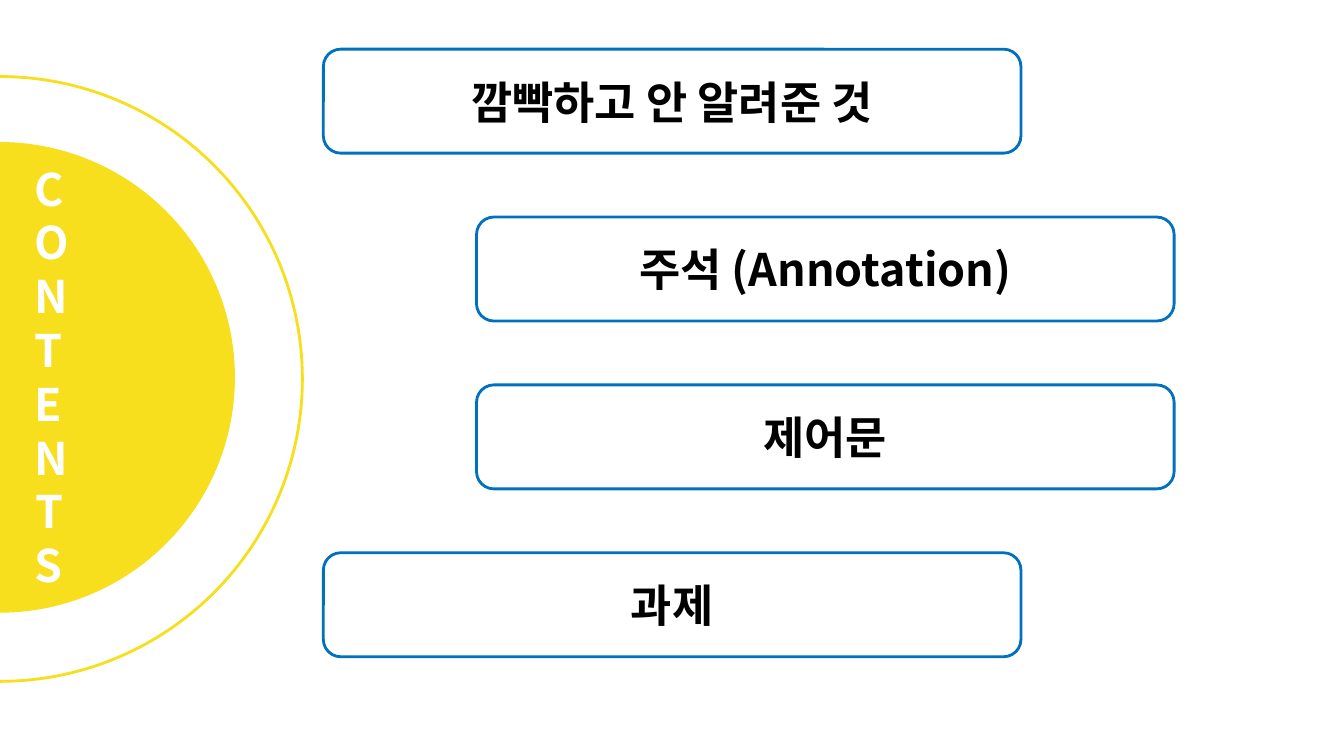
from typing import NamedTuple

import pptx
import pptx.dml.color
import pptx.enum.shapes
import pptx.enum.text
import pptx.util
from pptx.util import Cm

FONT = "Noto Sans CJK KR"
YELLOW = "F7DF1E"
BLUE = "0070C0"
WHITE = "FFFFFF"
BLACK = "000000"

OUTER_LEFT, INNER_LEFT = 8.15, 12.01
FIRST_TOP, TOPIC_PITCH = 1.24, 4.23


class Topic(NamedTuple):
    label: str
    left: float


class Circle(NamedTuple):
    left: float
    top: float
    diameter: float
    fill: str | None
    line: str | None


TOPICS = [
    Topic("깜빡하고 안 알려준 것", OUTER_LEFT),
    Topic("주석 (Annotation)", INNER_LEFT),
    Topic("제어문", INNER_LEFT),
    Topic("과제", OUTER_LEFT),
]
DISC = Circle(-5.94, 3.58, 11.86, YELLOW, None)
RING = Circle(-7.62, 1.93, 15.24, None, YELLOW)


def color(value: str) -> pptx.dml.color.RGBColor:
    return pptx.dml.color.RGBColor.from_string(value)


def paint(shape, fill: str | None, line: str | None) -> None:
    """Set fill and outline, where None means neither is drawn."""
    shape.shadow.inherit = False
    if fill:
        shape.fill.solid()
        shape.fill.fore_color.rgb = color(fill)
    else:
        shape.fill.background()
    if line:
        shape.line.color.rgb = color(line)
        shape.line.width = pptx.util.Pt(2)
    else:
        shape.line.fill.background()


def write(shape, text: str, text_color: str):
    shape.text_frame.text = text
    paragraph = shape.text_frame.paragraphs[0]
    paragraph.alignment = pptx.enum.text.PP_ALIGN.CENTER
    paragraph.font.name = FONT
    paragraph.font.size = pptx.util.Pt(32)
    paragraph.font.bold = True
    paragraph.font.color.rgb = color(text_color)
    return paragraph


def add_circle(slide, circle: Circle):
    shape = slide.shapes.add_shape(
        pptx.enum.shapes.MSO_SHAPE.OVAL,
        Cm(circle.left), Cm(circle.top), Cm(circle.diameter), Cm(circle.diameter),
    )
    paint(shape, circle.fill, circle.line)
    return shape


def add_topic(slide, topic: Topic, top: float) -> None:
    box = slide.shapes.add_shape(
        pptx.enum.shapes.MSO_SHAPE.ROUNDED_RECTANGLE,
        Cm(topic.left), Cm(top), Cm(17.58), Cm(2.62),
    )
    paint(box, WHITE, BLUE)
    box.text_frame.vertical_anchor = pptx.enum.text.MSO_ANCHOR.MIDDLE
    write(box, topic.label, BLACK)


def format_heading(heading) -> None:
    """Make the title a column so narrow that each letter wraps to its own line."""
    heading.left, heading.top = Cm(0.61), Cm(3.94)
    heading.width, heading.height = Cm(1.22), Cm(11.2)
    frame = heading.text_frame
    frame.word_wrap = True
    frame.auto_size = pptx.enum.text.MSO_AUTO_SIZE.SHAPE_TO_FIT_TEXT
    frame.vertical_anchor = pptx.enum.text.MSO_ANCHOR.TOP
    paragraph = write(heading, "CONTENTS", WHITE)
    paragraph.line_spacing = pptx.util.Pt(38.4)


def main() -> None:
    presentation = pptx.Presentation()
    presentation.slide_width, presentation.slide_height = Cm(33.87), Cm(19.05)
    slide = presentation.slides.add_slide(presentation.slide_layouts[5])

    heading = slide.shapes.title
    format_heading(heading)
    disc = add_circle(slide, DISC)
    heading.element.addprevious(disc.element)
    add_circle(slide, RING)

    for row, topic in enumerate(TOPICS):
        add_topic(slide, topic, FIRST_TOP + row * TOPIC_PITCH)

    presentation.save("out.pptx")


if __name__ == "__main__":
    main()
